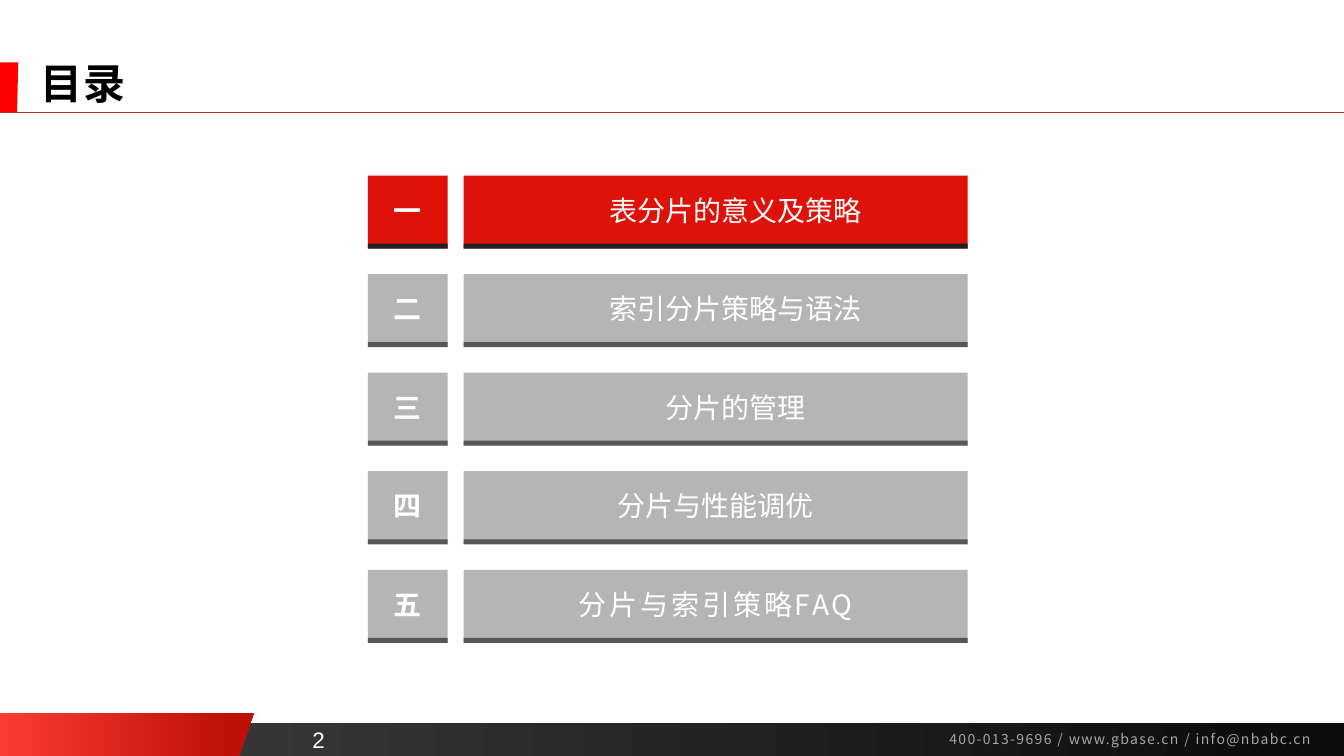
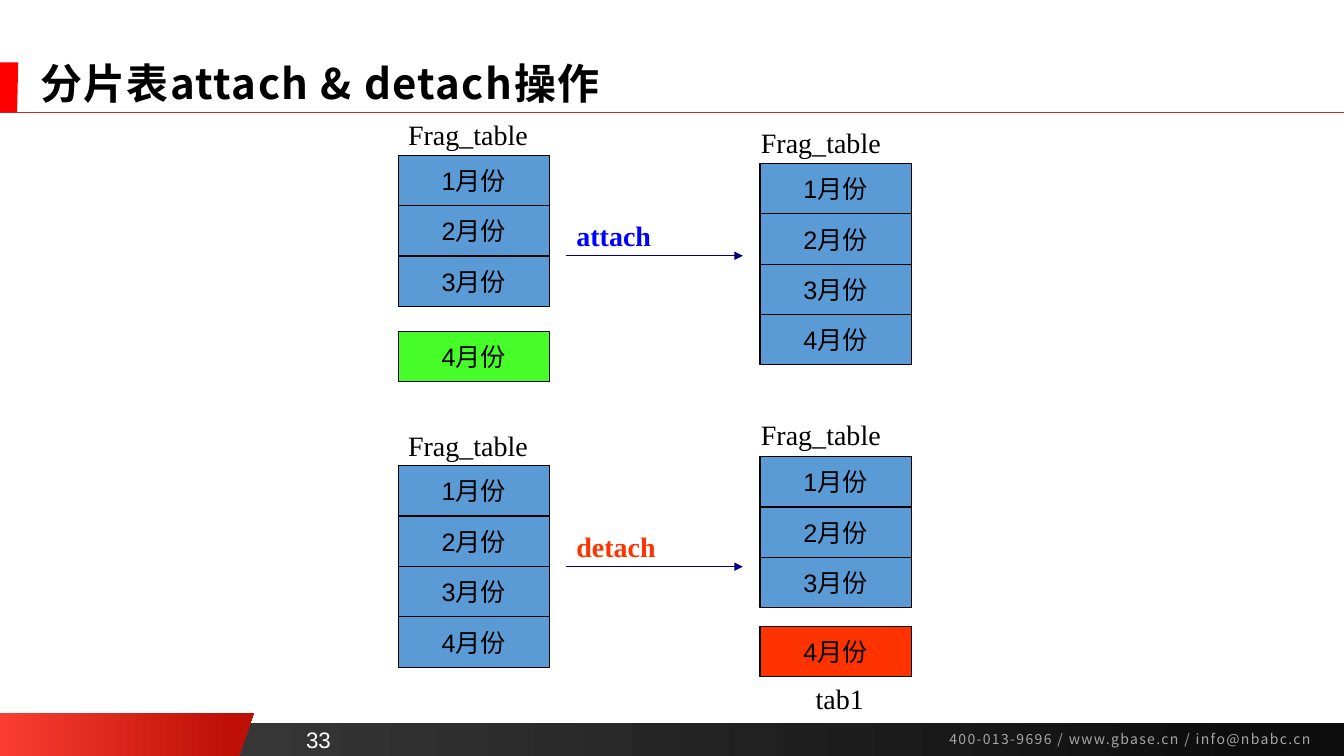
from lxml import etree
from pptx import Presentation
from pptx.dml.color import RGBColor
from pptx.enum import shapes, text
from pptx.oxml import ns
from pptx.util import Pt

SANS, ARIAL, SERIF = "Noto Sans CJK SC", "Arial", "Times New Roman"
BLACK, WHITE = "000000", "FFFFFF"
RED, GREY, BLUE = "DE1208", "B5B5B5", "5B9BD5"
WIDTH, HEIGHT = 960, 540
CELL_W, CELL_H = 108, 36
LEFT_X, RIGHT_X = 284.4, 542.9
MONTHS = ["1月份", "2月份", "3月份", "4月份"]
CHAPTERS = [
    ("一", "表分片的意义及策略", 28, 0),
    ("二", "索引分片策略与语法", 28, 0),
    ("三", "分片的管理", 28, 0),
    ("四", "分片与性能调优", 0, 0),
    ("五", "分片与索引策略FAQ", 0, 2),
]


def color(hex_code):
    """Turn a hex string into a colour."""
    return RGBColor.from_string(hex_code)


def write(frame, words, size, font=SANS, ink=BLACK, bold=False, align="LEFT",
          anchor="TOP", spacing=0, indent=0):
    """Put one formatted run into a text frame."""
    frame.word_wrap = True
    frame.auto_size = text.MSO_AUTO_SIZE.NONE
    frame.vertical_anchor = getattr(text.MSO_ANCHOR, anchor)
    paragraph = frame.paragraphs[0]
    paragraph.alignment = getattr(text.PP_ALIGN, align)
    if indent:
        properties = paragraph._p.get_or_add_pPr()
        properties.set("marL", str(Pt(indent)))
        properties.set("indent", "0")
    run = paragraph.add_run()
    run.text = words
    run.font.size, run.font.bold, run.font.name = Pt(size), bold, font
    run.font.color.rgb = color(ink)
    properties = run._r.get_or_add_rPr()
    if spacing:
        properties.set("spc", str(spacing * 100))
    east_asian = etree.Element(ns.qn("a:ea"), typeface=SANS)
    properties.find(ns.qn("a:latin")).addnext(east_asian)
    return paragraph


def label(slide, x, y, w, h, words, size, **style):
    """Add a text box."""
    box = slide.shapes.add_textbox(Pt(x), Pt(y), Pt(w), Pt(h))
    write(box.text_frame, words, size, **style)
    return box


def paint(shape, *stops):
    """Fill a shape with one colour or a left-to-right gradient."""
    shape.shadow.inherit = False
    shape.line.fill.background()
    if isinstance(stops[0], str):
        shape.fill.solid()
        shape.fill.fore_color.rgb = color(stops[0])
        return
    shape.fill.gradient()
    shape.fill.gradient_angle = 0
    for stop, (position, hex_code) in zip(shape.fill.gradient_stops, stops):
        stop.position, stop.color.rgb = position, color(hex_code)


def block(slide, x, y, w, h, *stops):
    """Add a filled rectangle without outline."""
    shape = slide.shapes.add_shape(shapes.MSO_SHAPE.RECTANGLE, Pt(x), Pt(y), Pt(w), Pt(h))
    paint(shape, *stops)
    return shape


def slanted(slide, corners, *stops):
    """Add a filled polygon."""
    start, *others = [(Pt(x), Pt(y)) for x, y in corners]
    builder = slide.shapes.build_freeform(*start)
    builder.add_line_segments(others, close=True)
    shape = builder.convert_to_shape()
    paint(shape, *stops)
    return shape


def rule(slide, x1, x2, y, ink, width, arrow=False):
    """Add a horizontal line, with an arrowhead if wanted."""
    line = slide.shapes.add_connector(
        shapes.MSO_CONNECTOR.STRAIGHT, Pt(x1), Pt(y), Pt(x2), Pt(y))
    line.line.color.rgb, line.line.width = color(ink), Pt(width)
    if arrow:
        etree.SubElement(line.line._get_or_add_ln(), ns.qn("a:tailEnd"), type="triangle")
    etree.SubElement(line.element.spPr, ns.qn("a:effectLst"))
    return line


def move_frame_to_layout(slide):
    """Draw the shared bands, rule and contact line and place them on the layout."""
    parts = [
        block(slide, 0, 516.3, WIDTH, 23.7, (0, "404040"), (0.94, "0D0D0D")),
        slanted(slide, [(0, 509), (181.4, 509), (170.6, HEIGHT), (0, HEIGHT)],
                (0, "F93D32"), (0.91, "BE1007")),
        slanted(slide, [(0, 44.6), (13, 44.6), (12.2, 80.6), (0, 80.6)], "FF0000"),
        label(slide, 671, 518.4, 287.3, 19.4,
              "400-013-9696 / www.gbase.cn / info@nbabc.cn", 10, ink="A6A6A6", spacing=1),
        rule(slide, 0, WIDTH, 80.2, "B82E24", 0.5),
    ]
    for number, part in enumerate(parts, 101):
        part.element.xpath(".//p:cNvPr")[0].set("id", str(number))
        slide.slide_layout.shapes.element.append(part.element)


def titled_slide(deck, title, page):
    """Add a slide with its title and page number."""
    slide = deck.slides.add_slide(deck.slide_layouts[5])
    heading = slide.shapes.title
    heading.left, heading.top, heading.width, heading.height = map(Pt, (21.6, 42.5, 882.7, 38.2))
    paragraph = write(heading.text_frame, title, 30, bold=True, anchor="MIDDLE", spacing=1)
    paragraph.line_spacing = 0.9
    label(slide, 208, 514.8, 39, 26.6, page, 16, font=ARIAL, ink=WHITE,
          align="CENTER", anchor="BOTTOM")
    return slide


def chapter_row(slide, y, numeral, name, indent, spacing, active):
    """Add a numbered contents row with dark lower edges."""
    fill, edge = (RED, "202022") if active else (GREY, "5A5656")
    for x, w, words, style in [
        (262.8, 57, numeral, {"bold": True}),
        (331.2, 360, name, {"indent": indent, "spacing": spacing}),
    ]:
        tile = block(slide, x, y, w, 52, fill)
        tile.text_frame.margin_bottom = Pt(6.6)
        write(tile.text_frame, words, 20, ink=WHITE, align="CENTER", anchor="MIDDLE", **style)
        block(slide, x, y + 48.6, w, 3.6, edge)


def month_cell(slide, x, y, month, fill=BLUE):
    """Add an outlined cell for one month's fragment."""
    cell = block(slide, x, y, CELL_W, CELL_H, fill)
    cell.line.color.rgb, cell.line.width = color(BLACK), Pt(0.75)
    write(cell.text_frame, month, 18, font=ARIAL, align="CENTER", anchor="MIDDLE")


def caption(slide, x, y, words, **style):
    """Add a serif caption."""
    label(slide, x, y, 113.8, 31.7, words, 20, font=SERIF, **style)


def fragment_table(slide, x, y, count, caption_x, caption_y):
    """Add a captioned stack of month cells."""
    caption(slide, caption_x, caption_y, "Frag_table")
    for row, month in enumerate(MONTHS[:count]):
        month_cell(slide, x, y + row * CELL_H, month)


def operation(slide, y, name, ink):
    """Add an arrow with the operation's name above it."""
    rule(slide, 404.6, 530.6, y, "000080", 0.75, arrow=True)
    caption(slide, 404.6, y - 30.2, name, ink=ink, bold=True)


def main():
    """Build and save the deck."""
    deck = Presentation()
    deck.slide_width, deck.slide_height = Pt(WIDTH), Pt(HEIGHT)

    contents = titled_slide(deck, "目录", "2")
    move_frame_to_layout(contents)
    for row, chapter in enumerate(CHAPTERS):
        chapter_row(contents, 125.4 + row * 70.4, *chapter, active=row == 0)

    operations = titled_slide(deck, "分片表attach & detach操作", "33")
    for x, y, count, caption_x, caption_y in [
        (LEFT_X, 110.9, 3, LEFT_X, 80.6),
        (RIGHT_X, 116.7, 4, 536.4, 86.4),
        (LEFT_X, 332.6, 4, LEFT_X, 302.4),
        (RIGHT_X, 326.2, 3, 536.4, 294.5),
    ]:
        fragment_table(operations, x, y, count, caption_x, caption_y)
    month_cell(operations, LEFT_X, 236.9, MONTHS[3], "47FD29")
    month_cell(operations, RIGHT_X, 447.3, MONTHS[3], "FF3300")
    caption(operations, RIGHT_X, 483.1, "tab1", align="CENTER")
    operation(operations, 182.7, "attach", "0000FF")
    operation(operations, 404.8, "detach", "FF3300")
    deck.save("out.pptx")


if __name__ == "__main__":
    main()
